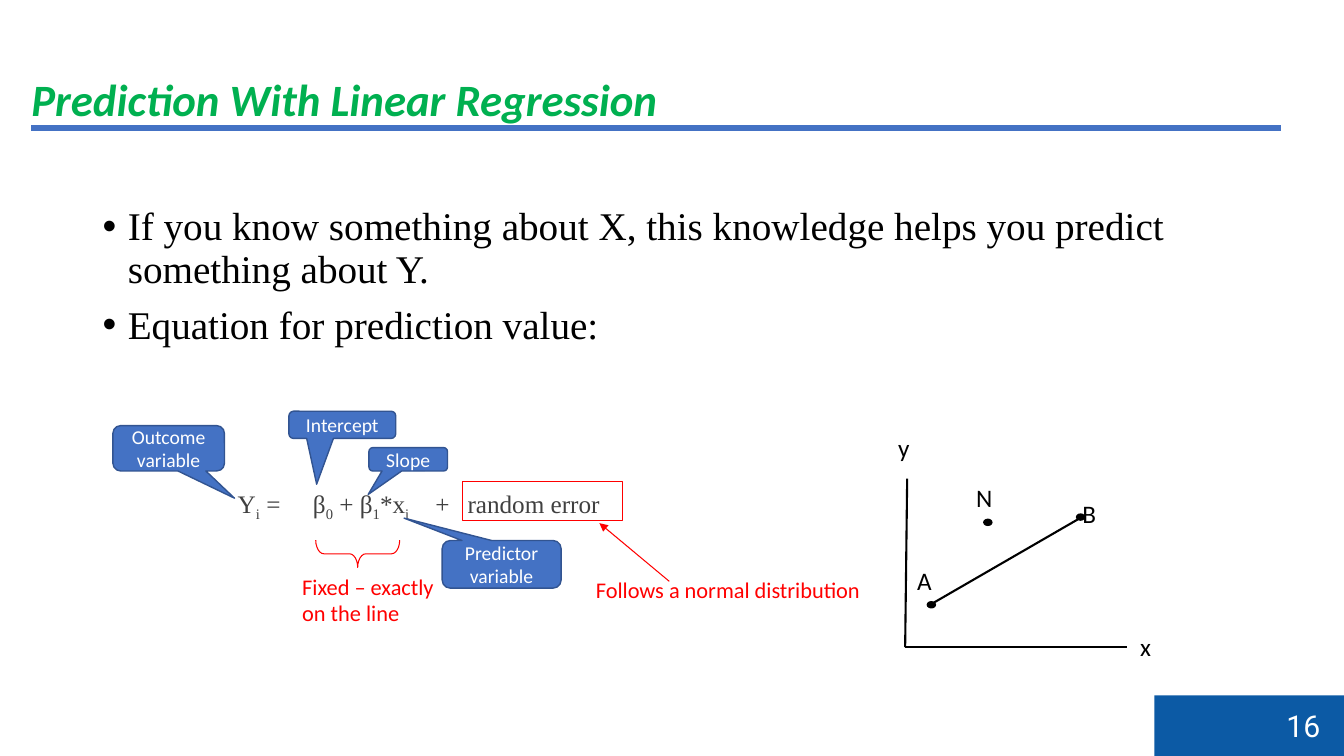
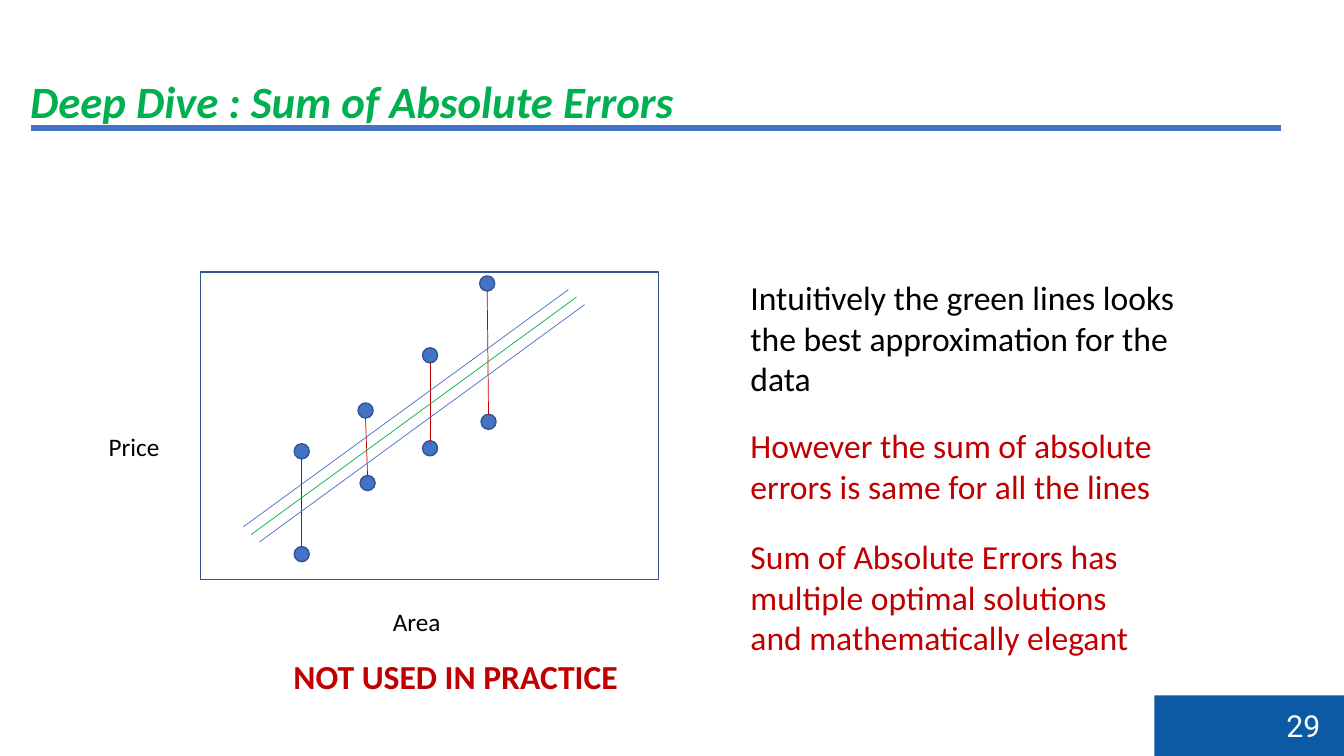
from pptx import Presentation
from pptx.util import Inches, Pt
from pptx.dml.color import RGBColor
from pptx.enum.shapes import MSO_SHAPE, MSO_CONNECTOR
from pptx.enum.text import PP_ALIGN, MSO_ANCHOR
from pptx.oxml.ns import qn
from lxml import etree

RECT, OVAL, BRACE = MSO_SHAPE.RECTANGLE, MSO_SHAPE.OVAL, MSO_SHAPE.LEFT_BRACE
CALLOUT = MSO_SHAPE.ROUNDED_RECTANGULAR_CALLOUT
STRAIGHT = MSO_CONNECTOR.STRAIGHT
LEFT, CENTER, RIGHT = PP_ALIGN.LEFT, PP_ALIGN.CENTER, PP_ALIGN.RIGHT
TOP, MIDDLE = MSO_ANCHOR.TOP, MSO_ANCHOR.MIDDLE
C = {"title": "00B050", "blue": "4472C4", "edge": "325491", "badge": "0C5AA5",
     "black": "000000", "white": "FFFFFF", "gray": "404040",
     "red": "FF0000", "dark_red": "C00000"}

prs = Presentation()
prs.slide_width, prs.slide_height = Inches(13.333), Inches(7.5)
# Grid of 100 columns and 100 rows
COL, ROW = prs.slide_width / 100, prs.slide_height / 100


def add_box(s, kind, at, fill=None, line=None, width=1, adj=()):
    """Add a preset shape, or a text box when kind is None."""
    x, y, w, h = (int(v * unit) for v, unit in zip(at, (COL, ROW, COL, ROW)))
    if kind is None:
        return s.shapes.add_textbox(x, y, w, h)
    sp = s.shapes.add_shape(kind, x, y, w, h)
    sp.shadow.inherit = False
    for i, value in enumerate(adj):
        sp.adjustments[i] = value
    if fill:
        sp.fill.solid()
        sp.fill.fore_color.rgb = RGBColor.from_string(C[fill])
    else:
        sp.fill.background()
    if line:
        sp.line.color.rgb = RGBColor.from_string(C[line])
        sp.line.width = Pt(width)
    else:
        sp.line.fill.background()
    return sp


def put_text(sp, *paras, size=18, font="Calibri", color="black", bold=False,
             italic=False, align=LEFT, anchor=TOP, spacing=None, before=None,
             bullet=None, tabs=()):
    """Write paragraphs; text between bars is set as subscript."""
    tf = sp.text_frame
    tf.word_wrap, tf.vertical_anchor = True, anchor
    for i, text in enumerate(paras):
        p = tf.add_paragraph() if i else tf.paragraphs[0]
        p.alignment, p.line_spacing = align, spacing
        if before:
            p.space_before = Pt(before)
        pPr = p._p.get_or_add_pPr()
        if bullet:
            pPr.set("marL", str(Inches(0.25)))
            pPr.set("indent", str(-Inches(0.25)))
            etree.SubElement(pPr, qn("a:buFont"), typeface="Arial")
            etree.SubElement(pPr, qn("a:buChar"), char=bullet)
        if tabs:
            tab_list = etree.SubElement(pPr, qn("a:tabLst"))
            for pos in tabs:
                etree.SubElement(tab_list, qn("a:tab"), pos=str(int(pos * COL)), algn="l")
        for j, part in enumerate(text.split("|")):
            r = p.add_run()
            r.text = part
            r.font.size, r.font.name = Pt(size), font
            r.font.bold, r.font.italic = bold, italic
            r.font.color.rgb = RGBColor.from_string(C[color])
            if j % 2:
                r.font._element.set("baseline", "-25000")


# Shared parts: title, rule and page badge
slides = []
for title, x, y, number in (("Prediction With Linear Regression", 1.6, 3.9, "16"),
                            ("Deep Dive : Sum of Absolute Errors", 1.5, 4.1, "29")):
    s = prs.slides.add_slide(prs.slide_layouts[6])
    slides.append(s)
    put_text(add_box(s, None, (x, y, 86.3, 19.3)), title, size=32, color="title",
             bold=True, italic=True, anchor=MIDDLE, spacing=0.9)
    add_box(s, RECT, (2.25, 16.5, 93.15, 0.95), "blue", "white")
    sp = add_box(s, RECT, (85.9, 92, 14.25, 8), "badge")
    sp.text_frame.margin_right = int(1.9 * COL)
    put_text(sp, number, size=21.6, font="Roboto", color="white",
             align=RIGHT, anchor=MIDDLE)
prediction, errors = slides

# Prediction: bullets and equation
s = prediction
put_text(add_box(s, None, (6.9, 26.7, 86.3, 63.5)),
         "If you know something about X, this knowledge helps you predict something about Y.",
         "Equation for prediction value:",
         size=28, font="Times New Roman", spacing=0.9, before=10, bullet="•")
put_text(add_box(s, None, (16.95, 63.9, 34.05, 8.8)),
         "Y|i| =\tβ|0| + β|1|*x|i|\t+\trandom error",
         font="Times New Roman", color="gray", tabs=(5.6, 14.7, 17.1))

# Prediction: red notes on the equation
brace = add_box(s, BRACE, (25.6, 67.7, 2.03, 11.1), None, "red", 0.75, (0.3, 0.5))
brace.rotation = 270
add_box(s, RECT, (34.4, 63.7, 11.95, 5.2), None, "red", 0.75)
for text, at in (("Fixed – exactly on the line", (21.75, 75.1, 11.8, 12.1)),
                 ("Follows a normal distribution", (43.6, 75.6, 22.1, 8.5))):
    put_text(add_box(s, None, at), text, size=16, color="red")

# Prediction: callouts, each with the place its tip points to
for text, at, tip in (("Outcome variable", (8.4, 56.3, 8.3, 6), (0.59, 1.1)),
                      ("Intercept", (21.5, 54.4, 7.95, 3.6), (-0.24, 2.18)),
                      ("Slope", (27.45, 59.2, 5.85, 3.1), (-0.51, 1.5)),
                      ("Predictor variable", (32.9, 71.5, 8.85, 6.3), (-0.82, -0.97))):
    put_text(add_box(s, CALLOUT, at, "blue", "edge", adj=(*tip, 0.17)), text,
             size=14, color="white", align=CENTER, anchor=MIDDLE)

# Prediction: points and letters of the small graph
for x, y in ((69.3, 80), (80.4, 68.4), (73.5, 69.1)):
    add_box(s, OVAL, (x - 0.3, y - 0.4, 0.6, 0.8), "black", "black")
for letter, x, y in (("A", 67.5, 74.1), ("N", 71.9, 63.2), ("B", 79.8, 65.2),
                     ("x", 84.1, 82.9), ("y", 66.1, 56.5)):
    put_text(add_box(s, None, (x, y, 3, 5.3)), letter)

# Lines: slide, from, to, colour, width, arrowhead
lines = [(prediction, (49.8, 76.9), (44.6, 69.2), "red", 0.75, True),
         (prediction, (69.5, 79.7), (80.2, 68.7), "black", 1.5, False),
         (prediction, (67.5, 63.3), (67.35, 85.6), "black", 1.5, False),
         (prediction, (67.35, 85.6), (83.85, 85.6), "black", 1.5, False)]

# Errors: plot frame, point pairs and parallel fits
s = errors
add_box(s, RECT, (14.9, 36, 34.1, 40.7), None, "edge")
for upper, lower in (((22.45, 59.7), (22.45, 73.3)), ((27.2, 54.3), (27.35, 63.9)),
                     ((32, 47), (32, 59.3)), ((36.25, 37.5), (36.35, 55.8))):
    for x, y in (upper, lower):
        add_box(s, OVAL, (x - 0.56, y - 1, 1.12, 2), "blue", "edge")
    lines.append((s, (upper[0], upper[1] + 1), (lower[0], lower[1] - 1),
                  "dark_red", 0.5, False))
for step, color in ((0, "title"), (1, "blue"), (-1, "blue")):
    dx, dy = 0.6 * step, step
    lines.append((s, (18.7 + dx, 70.7 + dy), (42.9 + dx, 39.3 + dy), color, 0.5, False))

# Errors: axis names and remarks
for text, at in (("Area", (28.5, 79.6, 6, 5.3)), ("Price", (7.35, 56.4, 6, 5.3))):
    put_text(add_box(s, None, at), text)
for text, at, color, bold in (
        ("Intuitively the green lines looks the best approximation for the data",
         (55.1, 36, 36.4, 17.5), "black", False),
        ("However the sum of absolute errors is same for all the lines",
         (55.1, 55.6, 34.2, 12.1), "dark_red", False),
        ("Sum of Absolute Errors has multiple optimal solutions and mathematically elegant",
         (55.1, 70.3, 31.7, 17.5), "dark_red", False),
        ("NOT USED IN PRACTICE", (21.1, 86.1, 27, 6.7), "dark_red", True)):
    put_text(add_box(s, None, at), text, size=24, color=color, bold=bold)

# Draw all lines
for s, (x1, y1), (x2, y2), color, width, arrow in lines:
    ln = s.shapes.add_connector(STRAIGHT, int(x1 * COL), int(y1 * ROW),
                                int(x2 * COL), int(y2 * ROW))
    ln.line.color.rgb = RGBColor.from_string(C[color])
    ln.line.width = Pt(width)
    if arrow:
        etree.SubElement(ln.line._get_or_add_ln(), qn("a:tailEnd"), type="triangle")
    etree.SubElement(ln._element.spPr, qn("a:effectLst"))

prs.save("out.pptx")
